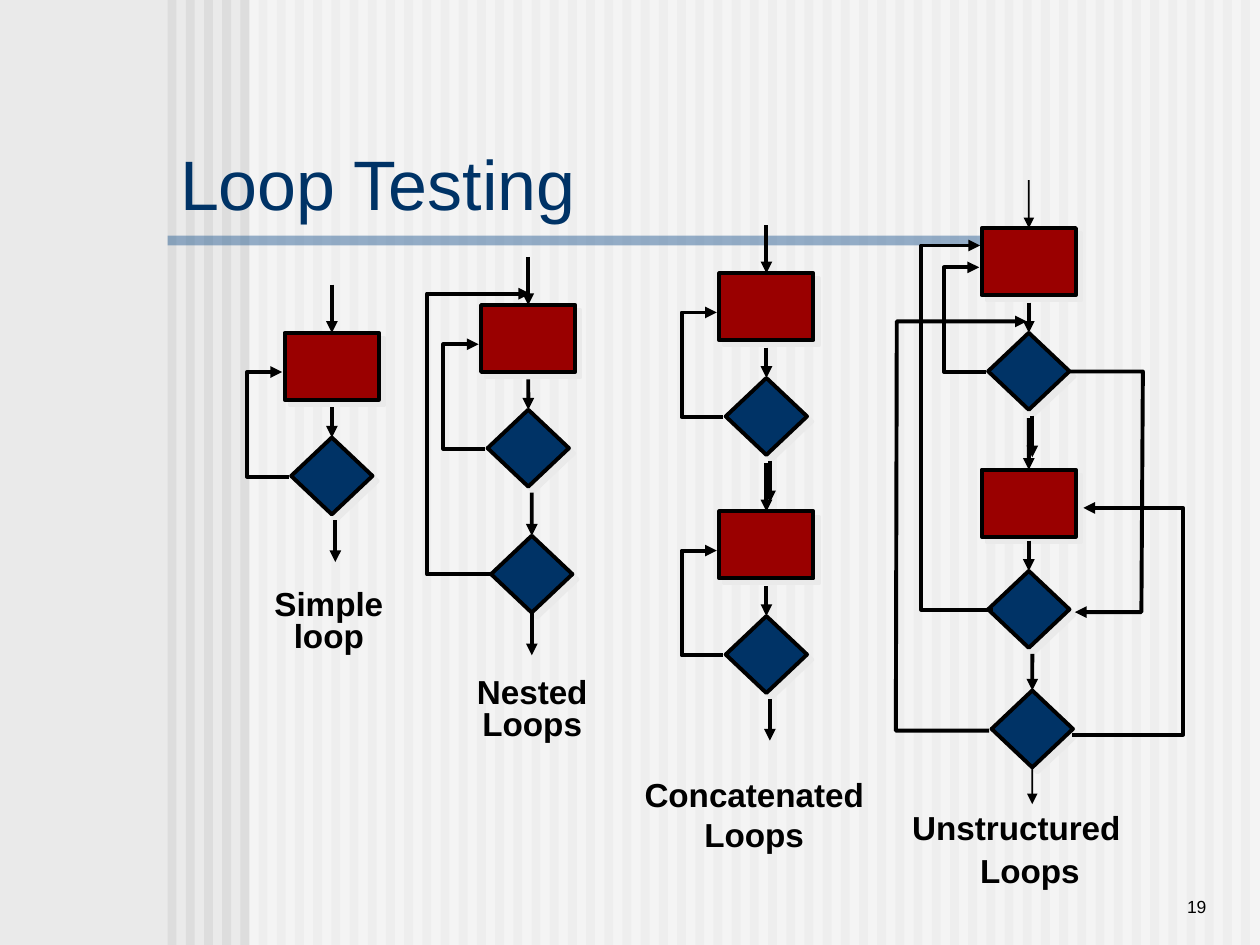
import lxml.etree
import pptx
import pptx.dml.color
import pptx.enum.shapes
import pptx.enum.text
import pptx.oxml.ns
import pptx.util

Cm, Pt = pptx.util.Cm, pptx.util.Pt
RGB = pptx.dml.color.RGBColor.from_string
qn = pptx.oxml.ns.qn
SHAPE = pptx.enum.shapes.MSO_SHAPE
STRAIGHT = pptx.enum.shapes.MSO_CONNECTOR.STRAIGHT
ALIGN = pptx.enum.text.PP_ALIGN
ANCHOR = pptx.enum.text.MSO_ANCHOR

COLORS = {"background": "EAEAEA", "stripe": "DDDDDD", "veil": "FFFFFF", "rule": "336699",
          "title": "003366", "process": "9A0000", "decision": "003366", "ink": "000000"}
TOP, BOTTOM = 0, 2
BLOCK_W, BLOCK_H = 1.9, 1.35
DECISION_W, DECISION_H = 1.64, 1.55

deck = pptx.Presentation()
deck.slide_width, deck.slide_height = Cm(25.4), Cm(19.05)
slide = deck.slides.add_slide(deck.slide_layouts[6])
shapes = slide.shapes
slide.background.fill.solid()
slide.background.fill.fore_color.rgb = RGB(COLORS["background"])


def add_node(kind, x, y, w, h, color):
    """Outlined flowchart node with a hard, pale shadow to the lower right."""
    node = shapes.add_shape(kind, Cm(x), Cm(y), Cm(w), Cm(h))
    node.fill.solid()
    node.fill.fore_color.rgb = RGB(COLORS[color])
    node.line.color.rgb = RGB(COLORS["ink"])
    node.line.width = Pt(2.25)
    node.shadow.inherit = False
    effects = node._element.spPr.find(qn("a:effectLst"))
    shadow = lxml.etree.SubElement(effects, qn("a:outerShdw"), dist=str(Pt(4.2)), dir="2700000")
    lxml.etree.SubElement(shadow, qn("a:srgbClr"), val=COLORS["background"])
    return node


def style_flow(flow, weight=2.25):
    """Black line with an arrowhead at its end and no shadow."""
    flow.line.color.rgb = RGB(COLORS["ink"])
    flow.line.width = Pt(weight)
    lxml.etree.SubElement(flow.line._get_or_add_ln(), qn("a:tailEnd"), type="triangle")
    lxml.etree.SubElement(flow._element.spPr, qn("a:effectLst"))


# Backdrop: vertical stripes, translucent veil, title rule
stripe_count, first_stripe, last_stripe = 60, 3.38, 25.02
pitch = (last_stripe - first_stripe) / (stripe_count - 1)
backdrop = [(first_stripe + i * pitch, 0, 0.18, 19.05, "stripe", 100) for i in range(stripe_count)]
backdrop += [(5.03, 0, 20.37, 19.05, "veil", 50), (3.38, 4.75, 16.71, 0.2, "rule", 50)]
for x, y, w, h, color, opacity in backdrop:
    band = shapes.add_shape(SHAPE.RECTANGLE, Cm(x), Cm(y), Cm(w), Cm(h))
    band.fill.solid()
    band.fill.fore_color.rgb = RGB(COLORS[color])
    band.line.fill.background()
    band.shadow.inherit = False
    if opacity < 100:
        tint = band._element.spPr.find(qn("a:solidFill"))[0]
        lxml.etree.SubElement(tint, qn("a:alpha"), val=str(opacity * 1000))

# Title, loop names and page number
texts = [
    (["Loop Testing"], 3.38, 2.97, 13.23, 1.4, 40, "title", ALIGN.LEFT, ANCHOR.MIDDLE, 1),
    (["Simple", "loop"], 5.18, 11.79, 2.9, 1.52, 19, "ink", ALIGN.CENTER, ANCHOR.TOP, 0.8),
    (["Nested", "Loops"], 9.27, 13.56, 2.92, 1.52, 19, "ink", ALIGN.CENTER, ANCHOR.TOP, 0.8),
    (["Concatenated", "Loops"], 12.65, 15.49, 5.11, 1.85, 19, "ink", ALIGN.CENTER, ANCHOR.TOP, 1),
    (["Unstructured"], 18.14, 16.15, 5.99, 1.04, 19, "ink", ALIGN.LEFT, ANCHOR.TOP, 1),
    (["Loops"], 19.51, 17.02, 2.8, 1.04, 19, "ink", ALIGN.LEFT, ANCHOR.TOP, 1),
    (["19"], 20.96, 17.35, 3.61, 1.27, 10, "ink", ALIGN.RIGHT, ANCHOR.BOTTOM, 1),
]
for lines, x, y, w, h, size, color, align, anchor, spacing in texts:
    frame = shapes.add_textbox(Cm(x), Cm(y), Cm(w), Cm(h)).text_frame
    frame.word_wrap = True
    frame.vertical_anchor = anchor
    frame.text = "\n".join(lines)
    for paragraph in frame.paragraphs:
        paragraph.alignment = align
        paragraph.line_spacing = spacing
        paragraph.font.name = "Arial"
        paragraph.font.size = Pt(size)
        paragraph.font.bold = size == 19
        paragraph.font.color.rgb = RGB(COLORS[color])

# Loop units: process, decision, three downward flows
# (x, y, extra drop of the process, weight of the entry flow)
units = [(5.74, 6.71, 0, 2.25), (9.7, 6.15, 0, 2.25), (14.5, 5.51, 0, 2.25),
         (14.5, 10.31, 0, 2.25), (19.79, 4.6, 0, 1), (19.79, 9.4, 0.07, 2.25)]
exits = []
for x, y, drop, entry_weight in units:
    process = add_node(SHAPE.RECTANGLE, x, y + drop, BLOCK_W, BLOCK_H, "process")
    decision = add_node(SHAPE.DIAMOND, x + 0.13, y + 2.11, DECISION_W, DECISION_H, "decision")
    for dx, start, end, weight, target in [(0.95, -0.97, 0, entry_weight, process),
                                           (0.95, 1.5, 2.11, 2.25, decision),
                                           (1.02, 3.78, 4.62, 2.25, None)]:
        flow = shapes.add_connector(STRAIGHT, Cm(x + dx), Cm(y + start), Cm(x + dx), Cm(y + end))
        style_flow(flow, weight)
        if target:
            flow.end_connect(target, TOP)
    exits.append(flow)

# Final decisions of the nested and unstructured loops
for unit, x, y, end, weight in [(1, 9.9, 10.8, 13.21, 2.25), (5, 19.99, 13.92, 16.21, 1)]:
    decision = add_node(SHAPE.DIAMOND, x, y, DECISION_W, DECISION_H, "decision")
    exits[unit].end_connect(decision, TOP)
    middle = Cm(x + DECISION_W / 2)
    flow = shapes.add_connector(STRAIGHT, middle, Cm(y + DECISION_H), middle, Cm(end))
    flow.begin_connect(decision, BOTTOM)
    style_flow(flow, weight)

# Branches: every unit but the last loops back to its own process
branches = [[(x + 0.08, y + 2.9), (x - 0.76, y + 2.9), (x - 0.76, y + 0.79), (x - 0.05, y + 0.79)]
            for x, y, _, _ in units[:-1]]
branches += [
    [(9.91, 11.58), (8.61, 11.58), (8.61, 5.92), (10.69, 5.92)],
    [(20.02, 12.29), (18.57, 12.29), (18.57, 4.95), (19.76, 4.95)],
    [(21.56, 7.49), (23.04, 7.49), (23.01, 12.34), (21.67, 12.34)],
    [(21.62, 14.81), (23.85, 14.81), (23.85, 10.24), (21.84, 10.24)],
    [(19.94, 14.73), (18.06, 14.73), (18.08, 6.48), (20.7, 6.48)],
]
for points in branches:
    start, *corners = [(Cm(x), Cm(y)) for x, y in points]
    outline = shapes.build_freeform(*start)
    outline.add_line_segments(corners, close=False)
    branch = outline.convert_to_shape()
    branch.fill.background()
    style_flow(branch)

deck.save("out.pptx")
